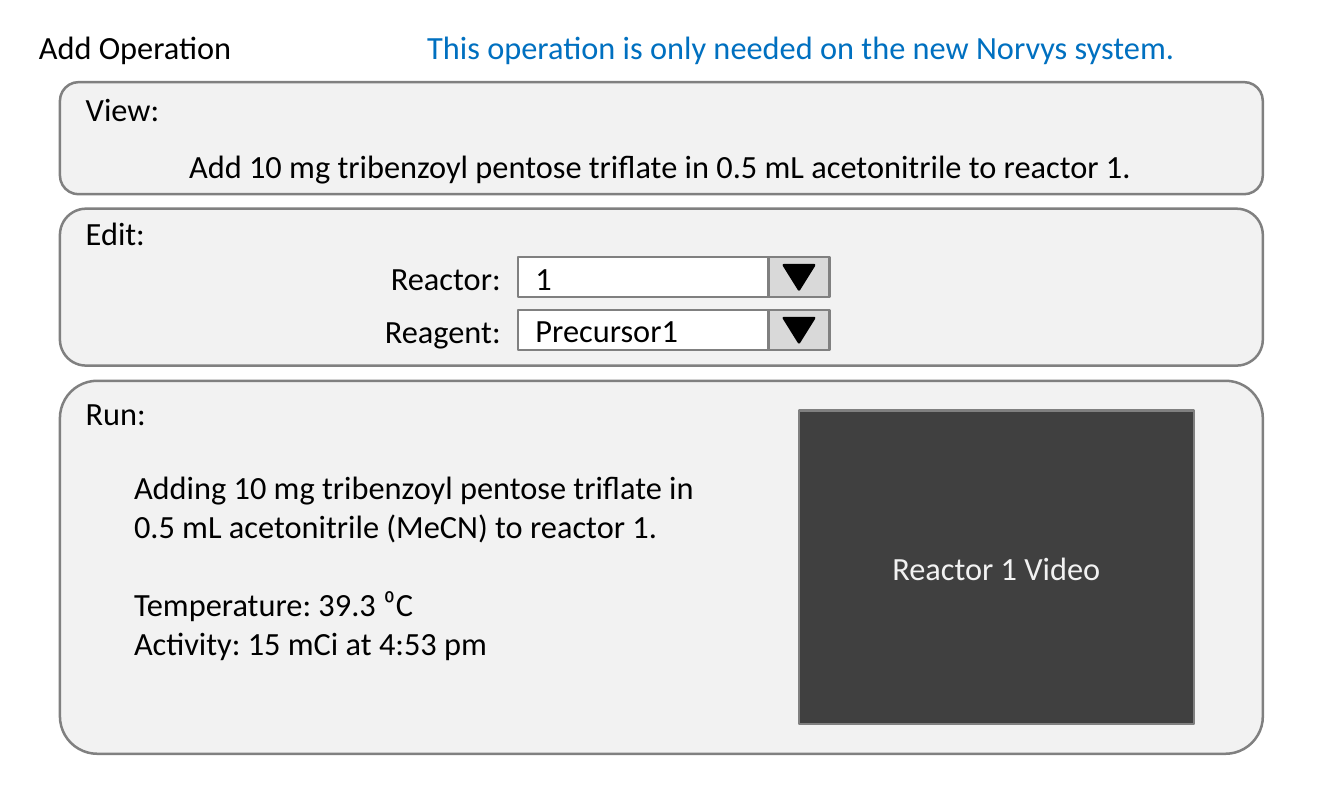
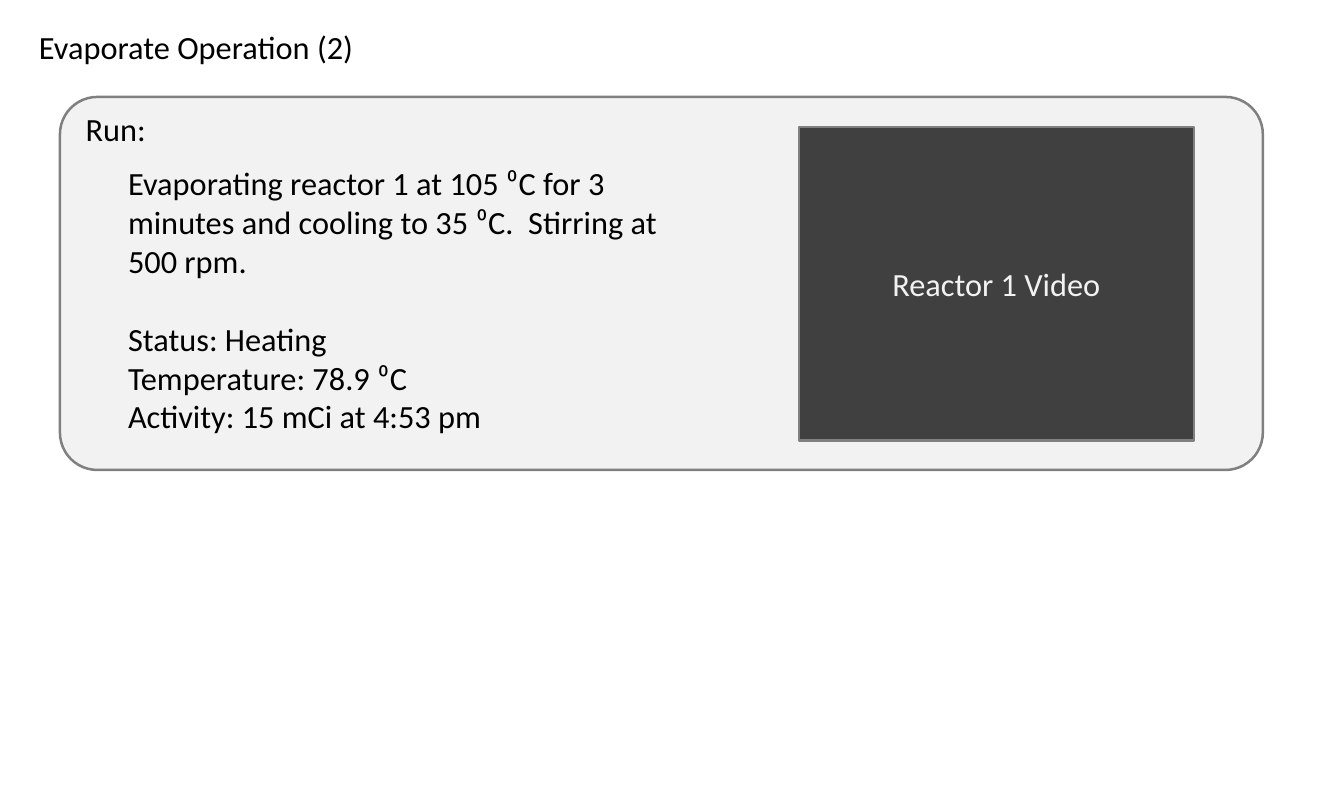
from pptx import Presentation
from pptx.dml.color import RGBColor
from pptx.enum.shapes import MSO_SHAPE
from pptx.enum.text import MSO_ANCHOR, MSO_AUTO_SIZE, PP_ALIGN
from pptx.util import Cm, Pt

RECT, ROUND = MSO_SHAPE.RECTANGLE, MSO_SHAPE.ROUNDED_RECTANGLE
ARROW = MSO_SHAPE.ISOSCELES_TRIANGLE
LEFT, MID, RIGHT = PP_ALIGN.LEFT, PP_ALIGN.CENTER, PP_ALIGN.RIGHT
TOP, MIDDLE = MSO_ANCHOR.TOP, MSO_ANCHOR.MIDDLE
FIXED = MSO_AUTO_SIZE.NONE

FONT, SIZE = "Calibri", 26
BLACK, WHITE, BLUE = "000000", "FFFFFF", "0070C0"
PALE, LIGHT, GREY, DARK = "F2F2F2", "D9D9D9", "808080", "404040"
LINE = 1.37          # height of a one-line text box
EDGE, WIDE = 1.7, 34.1    # left and width of the panels
INNER = 2.18         # left of the panel labels


def add(slide, kind, x, y, w, h, fill=PALE, line=GREY):
    """Add a preset shape, or a text box if kind is None."""
    place = Cm(x), Cm(y), Cm(w), Cm(h)
    if kind is None:
        return slide.shapes.add_textbox(*place)
    shape = slide.shapes.add_shape(kind, *place)
    shape.shadow.inherit = False
    shape.fill.solid()
    shape.fill.fore_color.rgb = RGBColor.from_string(fill)
    shape.line.color.rgb = RGBColor.from_string(line)
    shape.line.width = Pt(2)
    return shape


def write(shape, *lines, color=BLACK, align=LEFT, last=None, anchor=TOP,
          inset=0.25, gap=0):
    """Fill a shape with paragraphs; gap is the space before the second."""
    frame = shape.text_frame
    frame.word_wrap = True
    frame.auto_size = FIXED
    frame.vertical_anchor = anchor
    frame.margin_left = Cm(inset)
    frame.margin_right = Cm(0.25)
    frame.margin_top = frame.margin_bottom = Cm(0.13)
    for i, line in enumerate(lines):
        para = frame.paragraphs[0] if i == 0 else frame.add_paragraph()
        para.text = line
        para.alignment = last if i and last else align
        para.space_before = Pt(gap if i == 1 else 0)
        para.font.name = FONT
        para.font.size = Pt(SIZE)
        para.font.color.rgb = RGBColor.from_string(color)


deck = Presentation()
deck.slide_width, deck.slide_height = Cm(38.1), Cm(22.86)
layout = deck.slide_layouts[5]

# Title, panel top, status left and top, status lines
runs = [
    ("Add Operation", 10.8, 3.55, 13.13, [
        "Adding 10 mg tribenzoyl pentose triflate in "
        "0.5 mL acetonitrile (MeCN) to reactor 1.",
        "Temperature: 39.3 ⁰C",
        "Activity: 15 mCi at 4:53 pm"]),
    ("Evaporate Operation (2)", 2.75, 3.38, 4.5, [
        "Evaporating reactor 1 at 105 ⁰C for 3 minutes and cooling "
        "to 35 ⁰C.  Stirring at 500 rpm.",
        "Status: Heating",
        "Temperature: 78.9 ⁰C",
        "Activity: 15 mCi at 4:53 pm"]),
]

# Title and run panel of every slide
for name, top, left, start, status in runs:
    slide = deck.slides.add_slide(layout)
    title = slide.shapes.title
    title.left, title.top = Cm(0.85), Cm(0.64)
    title.width, title.height = Cm(10.9), Cm(LINE)
    write(title, name)
    panel = add(slide, ROUND, EDGE, top, WIDE, 10.58)
    panel.adjustments[0] = 0.1
    write(add(slide, None, INNER, top + 0.22, 10, LINE), "Run:")
    write(add(slide, None, left, start, 17, 8), *status, gap=31.7)
    video = add(slide, RECT, 22.65, top + 0.85, 11.2, 8.89, fill=DARK)
    write(video, "Reactor 1 Video", color=PALE, align=MID, anchor=MIDDLE)

# View and edit panels of the first slide
slide = deck.slides[0]
add(slide, ROUND, EDGE, 2.33, WIDE, 3.18)
write(add(slide, None, INNER, 2.39, 33.1, 3), "View:",
      "Add 10 mg tribenzoyl pentose triflate in 0.5 mL acetonitrile "
      "to reactor 1.", last=MID, gap=14.6)

add(slide, ROUND, EDGE, 5.92, WIDE, 4.45)
write(add(slide, None, INNER, 5.92, 10, LINE), "Edit:")
fields = [("Reactor:", "1"), ("Reagent:", "Precursor1")]
for i, (label, value) in enumerate(fields):
    y = 7.29 + 1.5 * i
    write(add(slide, None, 2.45, y - 0.1, 12, LINE), label, align=RIGHT)
    field = add(slide, RECT, 14.68, y, 7.11, 1.14, fill=WHITE)
    write(field, value, anchor=MIDDLE, inset=0.5)
    add(slide, RECT, 21.79, y, 1.73, 1.14, fill=LIGHT)
    arrow = add(slide, ARROW, 22.22, y + 0.23, 0.86, 0.69,
                fill=BLACK, line=BLACK)
    arrow.rotation = 180

write(add(slide, None, 11.86, 0.64, 23.4, LINE),
      "This operation is only needed on the new Norvys system.",
      color=BLUE)

deck.save("out.pptx")
